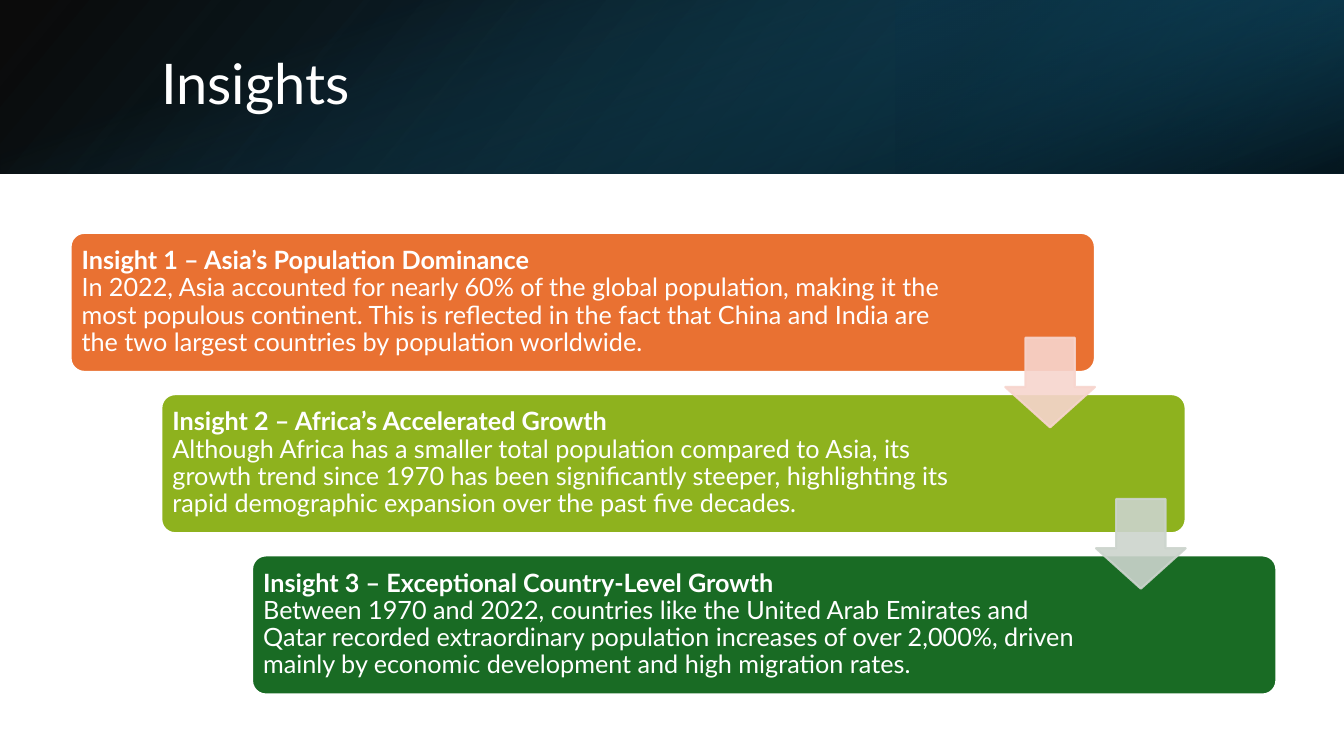
from lxml.etree import SubElement
from pptx import Presentation
from pptx.dml.color import RGBColor
from pptx.enum.shapes import MSO_SHAPE as Shape
from pptx.enum.text import MSO_ANCHOR as Anchor, PP_ALIGN as Align
from pptx.oxml.ns import qn
from pptx.util import Inches, Pt

SLIDE_WIDTH, SLIDE_HEIGHT = 13.33, 7.5
BANNER_HEIGHT = 1.72
COLUMN, ROW = 0.9, 1.6
CARD_LEFT, CARD_TOP = 0.7, 2.31
CARD_WIDTH, CARD_HEIGHT = 10.16, 1.38
ARROW_LEFT, ARROW_TOP, ARROW_SIZE = 9.97, 3.35, 0.89
PADDING = 0.04

FONT = "Lato"
WHITE = RGBColor(0xFF, 0xFF, 0xFF)
BLACK = RGBColor(0x00, 0x00, 0x00)
NAVY = RGBColor(0x10, 0x48, 0x62)
DEEP_BLUE = RGBColor(0x0B, 0x30, 0x41)
BLUE = RGBColor(0x15, 0x60, 0x82)
ORANGE = RGBColor(0xE9, 0x71, 0x32)
LIME = RGBColor(0x8E, 0xB2, 0x1E)
GREEN = RGBColor(0x19, 0x6B, 0x24)
PINK = RGBColor(0xF7, 0xD5, 0xCE)
GREY = RGBColor(0xCC, 0xD4, 0xCD)

BANNER_LAYERS = [
    ((0, 0, SLIDE_WIDTH, BANNER_HEIGHT), 0, True, 140,
     [(0, BLACK, 96), (1, NAVY, 100)]),
    ((SLIDE_WIDTH * 2 / 3, 0, SLIDE_WIDTH / 3, BANNER_HEIGHT), 180, True, 320,
     [(0.19, DEEP_BLUE, 68), (1, BLUE, 79)]),
    (((SLIDE_WIDTH - BANNER_HEIGHT) / 2, (BANNER_HEIGHT - SLIDE_WIDTH) / 2,
      BANNER_HEIGHT, SLIDE_WIDTH), 90, False, 340,
     [(0.23, BLUE, 0), (0.99, BLACK, 74)]),
]

INSIGHTS = [
    (ORANGE, 8.67, "Insight 1 – Asia’s Population Dominance",
     "In 2022, Asia accounted for nearly 60% of the global population, making it "
     "the most populous continent. This is reflected in the fact that China and "
     "India are the two largest countries by population worldwide."),
    (LIME, 8.29, "Insight 2 – Africa’s Accelerated Growth",
     "Although Africa has a smaller total population compared to Asia, its growth "
     "trend since 1970 has been significantly steeper, highlighting its rapid "
     "demographic expansion over the past five decades."),
    (GREEN, 8.29, "Insight 3 – Exceptional Country-Level Growth",
     "Between 1970 and 2022, countries like the United Arab Emirates and Qatar "
     "recorded extraordinary population increases of over 2,000%, driven mainly "
     "by economic development and high migration rates."),
]


def apply_format(target, values):
    for name, value in values.items():
        setattr(target, name, value)


def set_opacity(shape, percents):
    colors = shape._element.spPr.iter(qn("a:srgbClr"))
    for color, percent in zip(list(colors), percents):
        SubElement(color, qn("a:alpha")).set("val", str(percent * 1000))


def add_block(slide, kind, box, adjustments=()):
    shape = slide.shapes.add_shape(kind, *map(Inches, box))
    shape.shadow.inherit = False
    for index, value in enumerate(adjustments):
        shape.adjustments[index] = value
    return shape


def paint(shape, fill_color, line_color):
    shape.fill.solid()
    shape.fill.fore_color.rgb = fill_color
    shape.line.color.rgb = line_color
    shape.line.width = Pt(1.5)


def add_banner_layer(slide, box, rotation, flipped, angle, stops):
    shape = add_block(slide, Shape.RECTANGLE, box)
    shape.rotation = rotation
    if flipped:
        shape._element.spPr.xfrm.set("flipH", "1")
    shape.line.fill.background()
    shape.fill.gradient()
    shape.fill.gradient_angle = 360 - angle
    for stop, (position, color, _) in zip(shape.fill.gradient_stops, stops):
        stop.position = position
        stop.color.rgb = color
    set_opacity(shape, [opacity for _, _, opacity in stops])


def add_text(slide, box, lines, size, inset):
    frame = slide.shapes.add_textbox(*map(Inches, box)).text_frame
    margins = ("margin_left", "margin_top", "margin_right", "margin_bottom")
    apply_format(frame, {"word_wrap": True, "vertical_anchor": Anchor.MIDDLE,
                         **dict.fromkeys(margins, Inches(inset))})
    paragraph = frame.paragraphs[0]
    apply_format(paragraph, {"line_spacing": 0.9, "alignment": Align.LEFT})
    for index, (text, bold) in enumerate(lines):
        if index:
            paragraph.add_line_break()
        run = paragraph.add_run()
        run.text = text
        apply_format(run.font, {"name": FONT, "size": Pt(size), "bold": bold})
        run.font.color.rgb = WHITE


def add_card(slide, index, color, text_width, heading, body):
    left, top = CARD_LEFT + index * COLUMN, CARD_TOP + index * ROW
    card = add_block(slide, Shape.ROUNDED_RECTANGLE,
                     (left, top, CARD_WIDTH, CARD_HEIGHT), [0.1])
    paint(card, color, WHITE)
    text_box = (left + PADDING, top + PADDING, text_width, CARD_HEIGHT - 2 * PADDING)
    add_text(slide, text_box, [(heading, True), (body, False)], 18, 0.07)


def add_arrow(slide, index, color):
    box = (ARROW_LEFT + index * COLUMN, ARROW_TOP + index * ROW, ARROW_SIZE, ARROW_SIZE)
    arrow = add_block(slide, Shape.DOWN_ARROW, box, [0.55, 0.45])
    paint(arrow, color, color)
    set_opacity(arrow, [90, 90])


def main():
    presentation = Presentation()
    apply_format(presentation, {"slide_width": Inches(SLIDE_WIDTH),
                                "slide_height": Inches(SLIDE_HEIGHT)})
    slide = presentation.slides.add_slide(presentation.slide_layouts[6])
    for layer in BANNER_LAYERS:
        add_banner_layer(slide, *layer)
    add_text(slide, (1.5, 0.38, 10.98, 0.96), [("Insights", False)], 40, 0.1)
    for index, insight in enumerate(INSIGHTS):
        add_card(slide, index, *insight)
    for index, color in enumerate((PINK, GREY)):
        add_arrow(slide, index, color)
    presentation.save("out.pptx")


if __name__ == "__main__":
    main()
